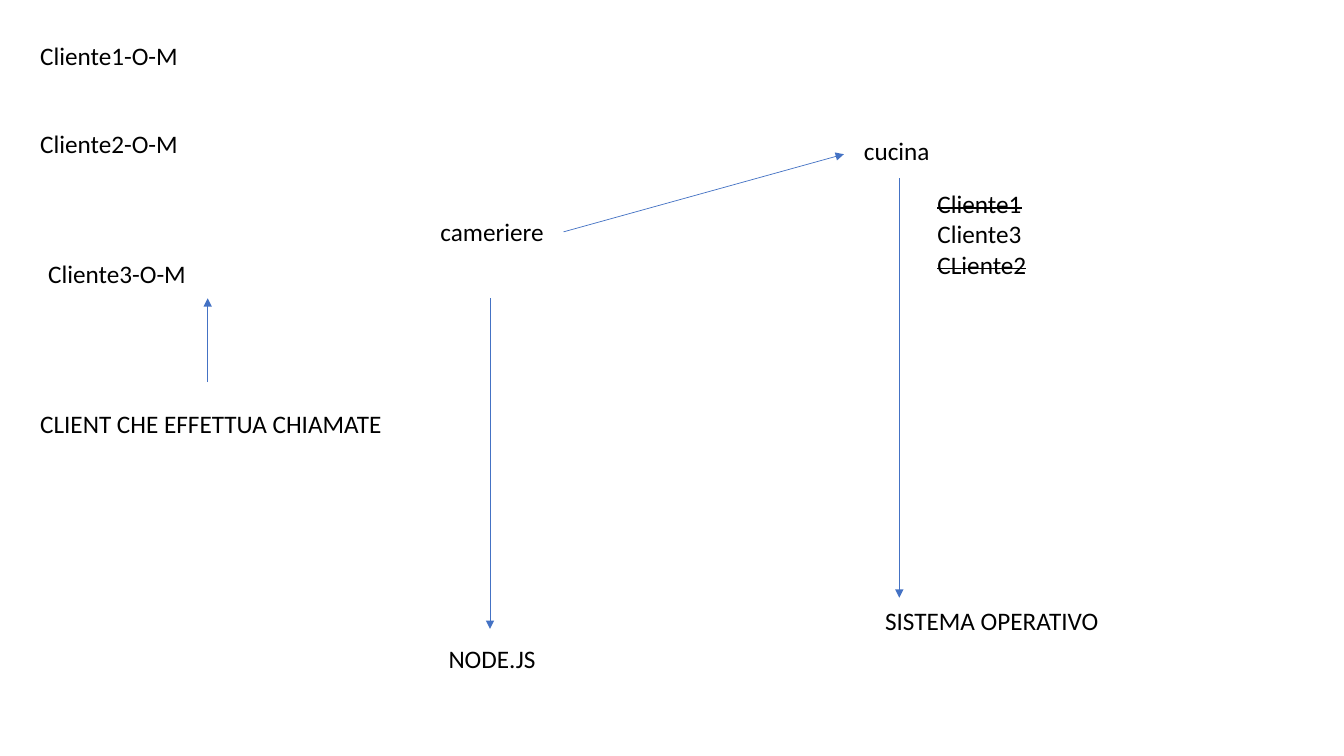
from dataclasses import dataclass

from lxml.etree import SubElement
from pptx import Presentation
from pptx.dml.color import RGBColor
from pptx.enum.shapes import MSO_CONNECTOR
from pptx.enum.text import MSO_AUTO_SIZE
from pptx.oxml.ns import qn
from pptx.util import Inches, Pt


@dataclass(frozen=True)
class Theme:
    font: str = "Calibri"
    text_size: float = 18
    text_color: RGBColor = RGBColor(0, 0, 0)
    arrow_color: RGBColor = RGBColor(0x44, 0x72, 0xC4)
    arrow_width: float = 0.5


@dataclass(frozen=True)
class Box:
    left: float
    top: float
    width: float
    height: float


THEME = Theme()
LABEL_HEIGHT = 0.4


def add_label(slide, lines, left, top, width, height=LABEL_HEIGHT, struck=()):
    """Add one paragraph per line, striking through the lines named in struck."""
    shape = slide.shapes.add_textbox(*map(Inches, (left, top, width, height)))
    frame = shape.text_frame
    frame.word_wrap = True
    frame.auto_size = MSO_AUTO_SIZE.SHAPE_TO_FIT_TEXT
    font_format = {"name": THEME.font, "size": Pt(THEME.text_size)}
    for index, line in enumerate(lines):
        paragraph = frame.add_paragraph() if index else frame.paragraphs[0]
        run = paragraph.add_run()
        run.text = line
        for name, value in font_format.items():
            setattr(run.font, name, value)
        run.font.color.rgb = THEME.text_color
        if line in struck:
            run._r.get_or_add_rPr().set("strike", "sngStrike")


def add_arrow(slide, start, end):
    connector = slide.shapes.add_connector(
        MSO_CONNECTOR.STRAIGHT, *map(Inches, (*start, *end)))
    connector.line.color.rgb = THEME.arrow_color
    connector.line.width = Pt(THEME.arrow_width)
    SubElement(connector.line._get_or_add_ln(), qn("a:tailEnd"), type="triangle")
    SubElement(connector._element.spPr, qn("a:effectLst"))


def add_clients(slide, box):
    add_label(slide, ["Cliente1-O-M"], box.left, box.top, 1.84)
    add_label(slide, ["Cliente2-O-M"], box.left, box.top + 0.87, 2.16)
    add_label(slide, ["Cliente3-O-M"], box.left + 0.08, box.top + 2.16, 2.23)
    arrow_x = box.left + 1.76
    add_arrow(slide, (arrow_x, box.top + 3.44), (arrow_x, box.top + 2.61))
    add_label(slide, ["CLIENT CHE EFFETTUA CHIAMATE"], box.left,
              box.top + box.height - LABEL_HEIGHT, box.width)


def add_waiter(slide, box):
    add_label(slide, ["cameriere"], box.left, box.top, box.width)
    arrow_x = box.left + 0.59
    bottom = box.top + box.height
    add_arrow(slide, (arrow_x, box.top + 0.86), (arrow_x, bottom - 0.49))
    add_label(slide, ["NODE.JS"], box.left + 0.08, bottom - LABEL_HEIGHT, 1.29)


def add_kitchen(slide, box):
    add_label(slide, ["cucina"], box.left, box.top, box.width)
    add_label(slide, ["Cliente1", "Cliente3", "CLiente2"],
              box.left + 0.73, box.top + 0.53, 1.4, 1.01,
              struck=("Cliente1", "CLiente2"))
    arrow_x = box.left + 0.45
    bottom = box.top + box.height
    add_arrow(slide, (arrow_x, box.top + 0.48), (arrow_x, bottom - 0.43))
    add_label(slide, ["SISTEMA OPERATIVO"], box.left + 0.21,
              bottom - LABEL_HEIGHT, 2.53)


def add_order_arrow(slide, waiter, kitchen):
    """Point from the waiter's label to the kitchen's label."""
    add_arrow(slide, (waiter.left + waiter.width, waiter.top + 0.2),
              (kitchen.left - 0.1, kitchen.top + 0.24))


def main():
    presentation = Presentation()
    presentation.slide_width = Inches(13.33)
    presentation.slide_height = Inches(7.5)
    slide = presentation.slides.add_slide(presentation.slide_layouts[6])

    waiter = Box(4.27, 2.1, 1.32, 4.63)
    kitchen = Box(8.47, 1.29, 3.13, 5.07)
    add_clients(slide, Box(0.3, 0.35, 3.96, 4.05))
    add_waiter(slide, waiter)
    add_kitchen(slide, kitchen)
    add_order_arrow(slide, waiter, kitchen)
    presentation.save("out.pptx")


if __name__ == "__main__":
    main()
